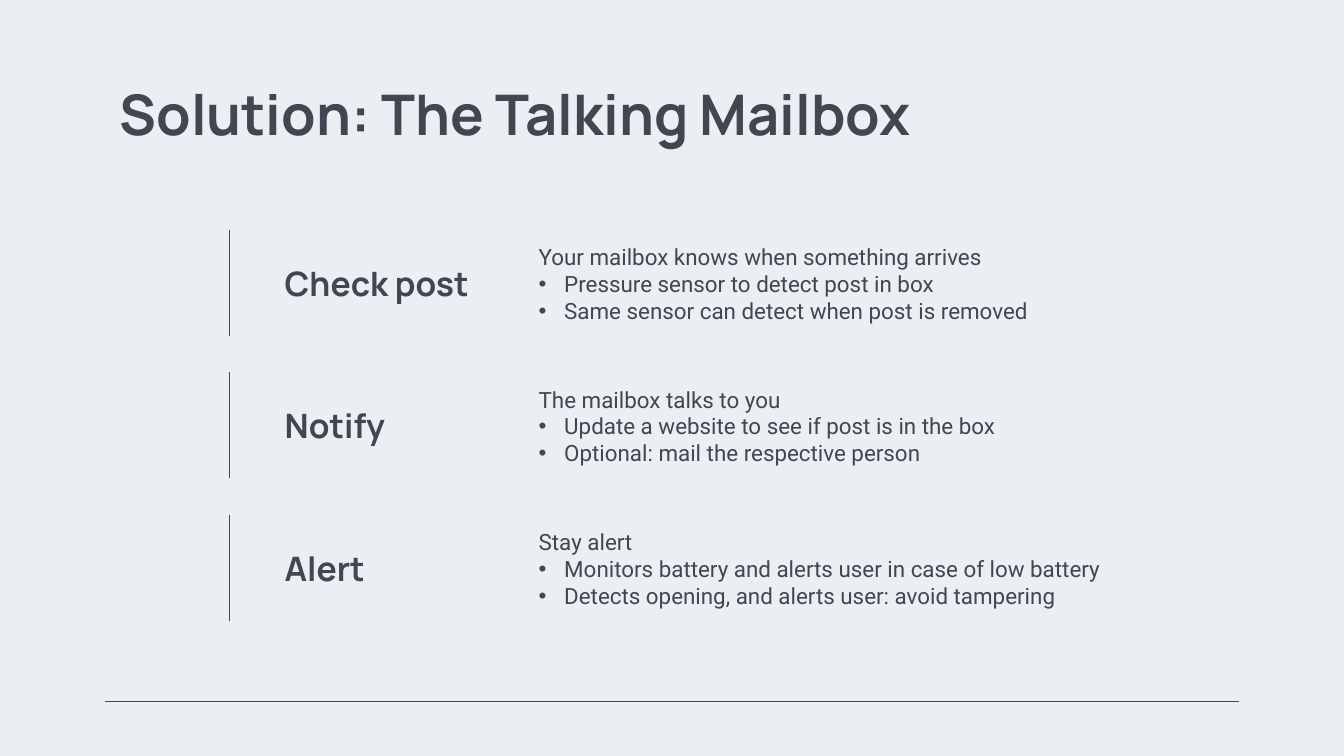
from lxml.etree import SubElement
from pptx import Presentation
from pptx.dml.color import RGBColor
from pptx.enum.shapes import MSO_CONNECTOR
from pptx.enum.text import MSO_ANCHOR, MSO_AUTO_SIZE, PP_ALIGN
from pptx.oxml.ns import qn
from pptx.util import Inches, Pt

INK = "424651"
BACKGROUND = "EAEFF4"
HEADING_FONT = "Manrope"
BODY_FONT = "Roboto"

FIRST_ROW_TOP = 1.71
ROW_STEP = 1.06
ROW_HEIGHT = 0.79
BULLET_INDENT = 0.19

FEATURES = [
    ("Check post", "Your mailbox knows when something arrives",
     ["Pressure sensor to detect post in box",
      "Same sensor can detect when post is removed"]),
    ("Notify", "The mailbox talks to you",
     ["Update a website to see if post is in the box",
      "Optional: mail the respective person"]),
    ("Alert", "Stay alert",
     ["Monitors battery and alerts user in case of low battery",
      "Detects opening, and alerts user: avoid tampering"]),
]


def color(hex_value):
    return RGBColor.from_string(hex_value)


def format_frame(frame, anchor):
    frame.word_wrap = True
    frame.auto_size = MSO_AUTO_SIZE.NONE
    frame.vertical_anchor = anchor
    frame.margin_left = frame.margin_right = Inches(0.1)
    frame.margin_top = frame.margin_bottom = Inches(0.1)


def format_paragraph(para, font_name, size, bold=False):
    para.alignment = PP_ALIGN.LEFT
    para.font.name = font_name
    para.font.size = Pt(size)
    para.font.bold = bold
    para.font.color.rgb = color(INK)


def add_bullet(para):
    properties = para._p.get_or_add_pPr()
    properties.set("marL", str(Inches(BULLET_INDENT)))
    properties.set("indent", str(-Inches(BULLET_INDENT)))
    SubElement(properties, qn("a:buFont"), typeface="Arial")
    SubElement(properties, qn("a:buChar"), char="•")


def set_title(slide, text):
    title = slide.shapes.title
    title.left, title.top = Inches(0.79), Inches(0.49)
    title.width, title.height = Inches(8.43), Inches(0.63)
    frame = title.text_frame
    frame.text = text
    format_frame(frame, MSO_ANCHOR.TOP)
    format_paragraph(frame.paragraphs[0], HEADING_FONT, 30, bold=True)


def add_line(slide, x1, y1, x2, y2):
    line = slide.shapes.add_connector(
        MSO_CONNECTOR.STRAIGHT, Inches(x1), Inches(y1), Inches(x2), Inches(y2))
    line.line.color.rgb = color(INK)
    line.line.width = Pt(0.75)
    SubElement(line._element.spPr, qn("a:effectLst"))


def add_text_box(slide, left, top, width, anchor):
    box = slide.shapes.add_textbox(
        Inches(left), Inches(top), Inches(width), Inches(ROW_HEIGHT))
    format_frame(box.text_frame, anchor)
    return box.text_frame


def add_feature(slide, top, name, summary, details):
    """Draw one row: a vertical rule, a heading and its description."""
    add_line(slide, 1.71, top, 1.71, top + ROW_HEIGHT)

    heading = add_text_box(slide, 2.02, top, 1.82, MSO_ANCHOR.MIDDLE)
    heading.text = name
    format_paragraph(heading.paragraphs[0], HEADING_FONT, 18, bold=True)

    description = add_text_box(slide, 3.91, top, 5.3, MSO_ANCHOR.TOP)
    description.text = summary
    format_paragraph(description.paragraphs[0], BODY_FONT, 12)
    for detail in details:
        para = description.add_paragraph()
        para.text = detail
        add_bullet(para)
        format_paragraph(para, BODY_FONT, 12)


def main():
    deck = Presentation()
    deck.slide_width = Inches(10)
    deck.slide_height = deck.slide_width * 9 // 16
    slide = deck.slides.add_slide(deck.slide_layouts[5])
    slide.background.fill.solid()
    slide.background.fill.fore_color.rgb = color(BACKGROUND)

    add_line(slide, 0.78, 5.22, 9.22, 5.22)
    set_title(slide, "Solution: The Talking Mailbox")
    for row, (name, summary, details) in enumerate(FEATURES):
        add_feature(slide, FIRST_ROW_TOP + row * ROW_STEP, name, summary, details)
    deck.save("out.pptx")


if __name__ == "__main__":
    main()
